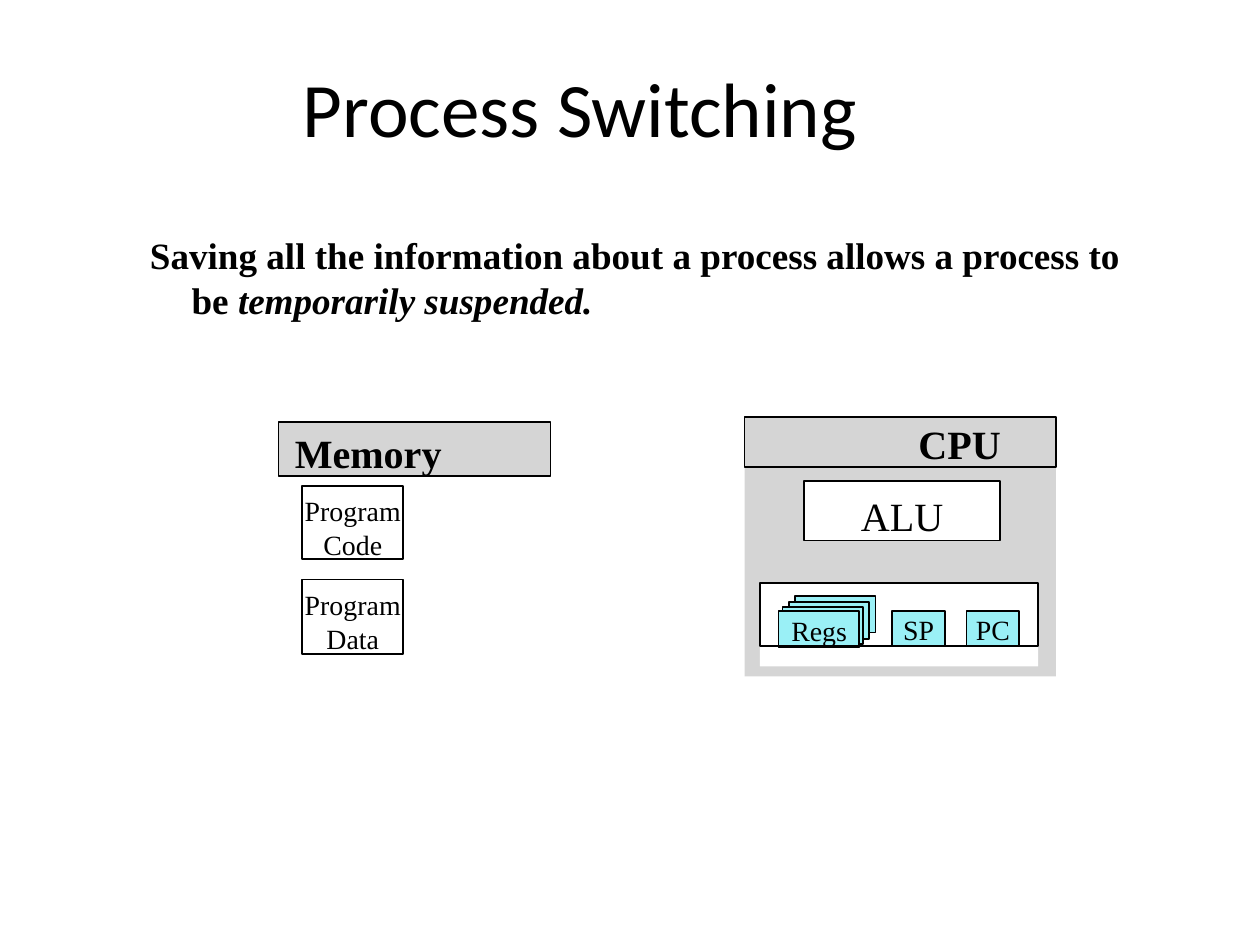
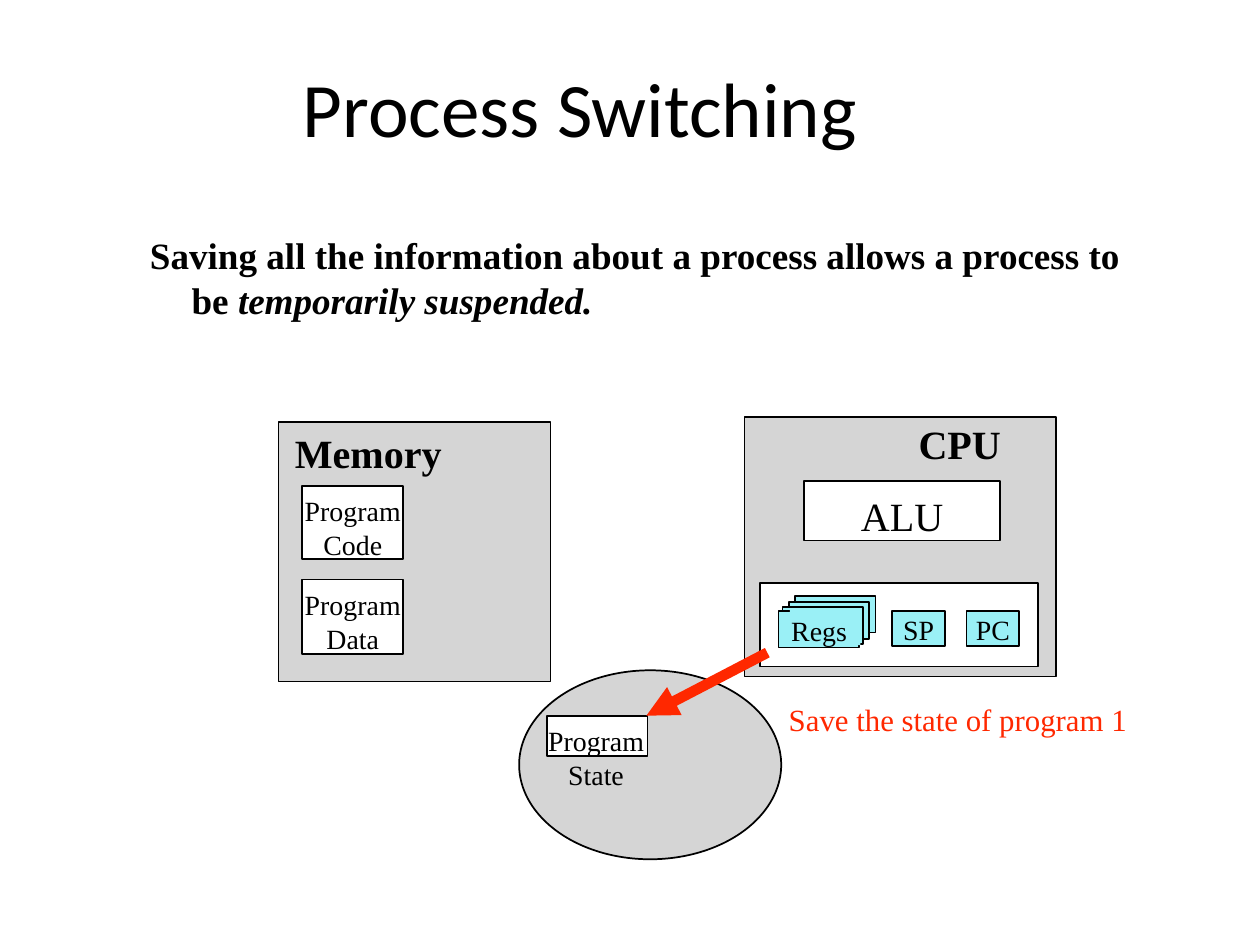
from lxml.etree import SubElement
from pptx import Presentation
from pptx.dml.color import RGBColor
from pptx.enum.shapes import MSO_CONNECTOR, MSO_SHAPE
from pptx.enum.text import MSO_ANCHOR, PP_ALIGN
from pptx.oxml.ns import qn
from pptx.util import Inches, Pt

BLACK = RGBColor(0x00, 0x00, 0x00)
WHITE = RGBColor(0xFF, 0xFF, 0xFF)
GREY = RGBColor(0xD5, 0xD5, 0xD5)
CYAN = RGBColor(0x9A, 0xF0, 0xF6)
RED = RGBColor(0xFF, 0x28, 0x00)
SERIF = "Times New Roman"
HEADING, LABEL = 22.9, 15.9


def add_box(page, place, fill=None, outlined=True, kind=MSO_SHAPE.RECTANGLE):
    box = page.shapes.add_shape(kind, *map(Inches, place))
    box.shadow.inherit = False
    if fill is None:
        box.fill.background()
    else:
        box.fill.solid()
        box.fill.fore_color.rgb = fill
    if outlined:
        box.line.color.rgb = BLACK
        box.line.width = Pt(1)
    else:
        box.line.fill.background()
    return box


def write(box, words, size, top=0.01, left=0, bold=False, color=BLACK,
          font=SERIF, align=PP_ALIGN.LEFT, spacing=None):
    frame = box.text_frame
    frame.word_wrap = True
    frame.vertical_anchor = MSO_ANCHOR.TOP
    frame.margin_left, frame.margin_top = Inches(left), Inches(top)
    frame.margin_right = frame.margin_bottom = 0
    para = frame.paragraphs[0]
    para.alignment = align
    if spacing:
        para.line_spacing = spacing
    para.font.name, para.font.size = font, Pt(size)
    para.font.bold, para.font.color.rgb = bold, color
    para.add_run().text = words
    return para


deck = Presentation()
deck.slide_width, deck.slide_height = Inches(10), Inches(7.5)

for state_saved in (False, True):
    page = deck.slides.add_slide(deck.slide_layouts[6])

    # Title
    title = page.shapes.add_textbox(*map(Inches, (0.59, 0.41, 7.94, 0.81)))
    write(title, "Process Switching", 44, top=0.07, left=0.09,
          font="Calibri", align=PP_ALIGN.CENTER)
    title.text_frame.vertical_anchor = MSO_ANCHOR.MIDDLE

    # Statement with a hanging indent
    statement = page.shapes.add_textbox(*map(Inches, (1.18, 1.83, 7.85, 0.71)))
    para = write(statement, "Saving all the information about a process "
                 "allows a process to be ", 21.2, bold=True, spacing=1.01)
    span = para.add_run()
    span.text = "temporarily suspended."
    span.font.italic = True
    indents = para._p.get_or_add_pPr()
    indents.set("marL", str(Inches(0.34)))
    indents.set("indent", str(Inches(-0.33)))

    # Memory and CPU panels
    add_box(page, (5.91, 3.31, 2.47, 2.06), GREY, outlined=state_saved)
    if state_saved:
        add_box(page, (2.21, 3.35, 2.16, 2.06), GREY)
        memory = page.shapes.add_textbox(*map(Inches, (2.33, 3.39, 1.19, 0.4)))
        cpu = page.shapes.add_textbox(*map(Inches, (7.28, 3.32, 0.68, 0.4)))
        write(memory, "Memory", HEADING, left=0.01, bold=True)
        write(cpu, "CPU", HEADING, left=0.01, bold=True)
    else:
        memory = add_box(page, (2.21, 3.35, 2.16, 0.43), GREY)
        cpu = add_box(page, (5.91, 3.31, 2.47, 0.4))
        write(memory, "Memory", HEADING, top=0.05, left=0.13, bold=True)
        write(cpu, "CPU", HEADING, top=0.02, left=1.38, bold=True)

    # Memory contents
    for words, top, height, inset in (("Program Code", 3.86, 0.58, 0.05),
                                      ("Program Data", 4.6, 0.59, 0.06)):
        write(add_box(page, (2.4, top, 0.8, height), WHITE), words, LABEL,
              top=inset, align=PP_ALIGN.CENTER, spacing=1.02)

    # CPU contents
    write(add_box(page, (6.38, 3.82, 1.56, 0.47), WHITE), "ALU", HEADING,
          top=0.08, align=PP_ALIGN.CENTER)
    add_box(page, (6.03, 4.63, 2.21, 0.66), WHITE, outlined=state_saved)
    for words, left in (("SP", 7.08), ("PC", 7.67)):
        write(add_box(page, (left, 4.85, 0.42, 0.28), CYAN), words, LABEL,
              align=PP_ALIGN.CENTER)
    for left, top in ((6.31, 4.73), (6.26, 4.78), (6.21, 4.82), (6.18, 4.85)):
        add_box(page, (left, top, 0.64, 0.29), CYAN)

    if not state_saved:
        registers = add_box(page, (6.03, 4.63, 2.21, 0.5))
        write(registers, "Regs", LABEL, top=0.24, left=0.25)
        continue

    registers = add_box(page, (6.27, 4.84, 0.56, 0.28), CYAN, outlined=False)
    write(registers, "Regs", LABEL, top=0.03, left=0.01)

    # Saved program state
    add_box(page, (4.12, 5.32, 2.08, 1.5), GREY, kind=MSO_SHAPE.OVAL)
    program = add_box(page, (4.34, 5.68, 0.8, 0.32), WHITE)
    write(program, "Program", LABEL, top=0.06, left=0.01)
    state = page.shapes.add_textbox(*map(Inches, (4.5, 6.01, 0.47, 0.25)))
    write(state, "State", LABEL, top=0, left=0.01)

    # Arrow from the registers to the saved state
    arrow = page.shapes.add_connector(
        MSO_CONNECTOR.STRAIGHT, *map(Inches, (6.09, 5.18, 5.13, 5.68)))
    arrow.line.color.rgb = RED
    arrow.line.width = Pt(6)
    SubElement(arrow.line._get_or_add_ln(), qn("a:tailEnd"), type="triangle")
    SubElement(arrow._element.spPr, qn("a:effectLst"))
    caption = page.shapes.add_textbox(*map(Inches, (6.25, 5.55, 2.75, 0.31)))
    write(caption, "Save the state of program 1", 17.6, left=0.01, color=RED)

deck.save("out.pptx")
